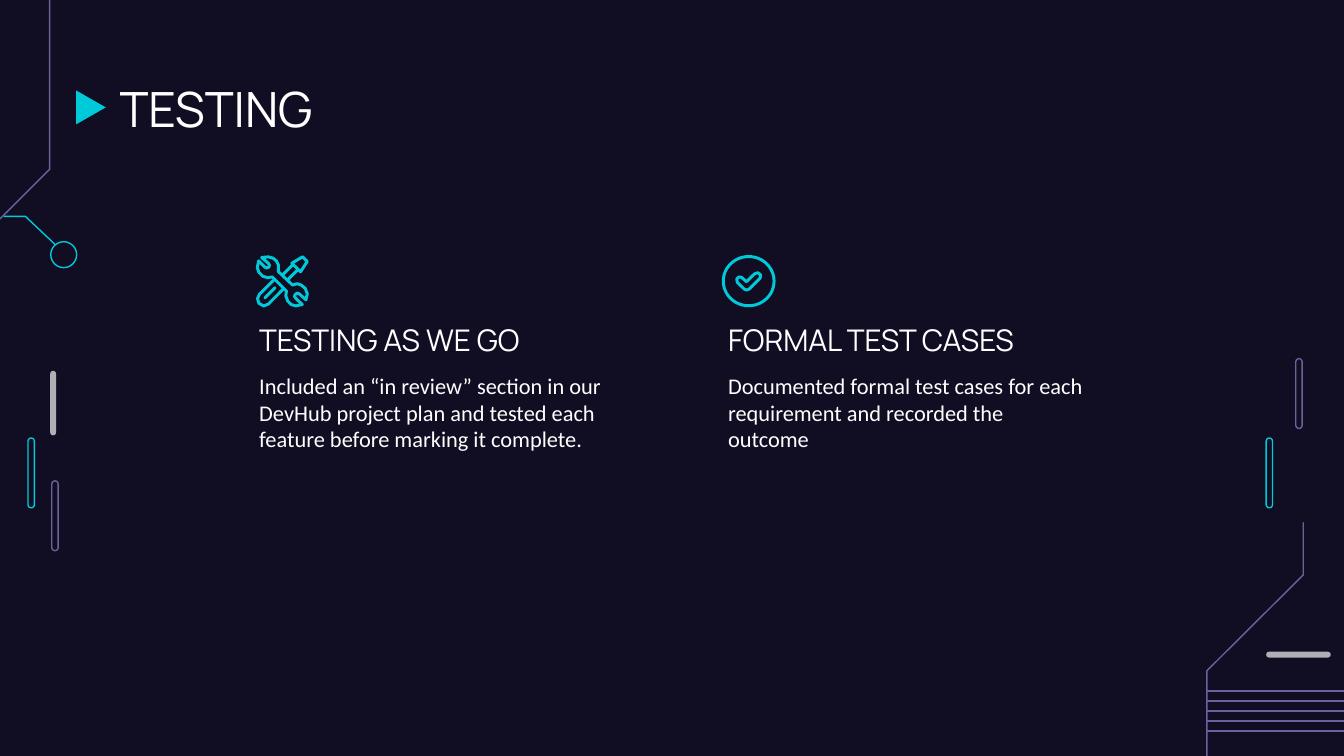
from lxml import etree
from pptx import Presentation, util as u
from pptx.dml.color import RGBColor
from pptx.enum import shapes, text
from pptx.oxml.ns import qn

NAVY = RGBColor(0x11, 0x0E, 0x24)
CYAN = RGBColor(0x00, 0xCA, 0xDA)
PURPLE = RGBColor(0x69, 0x63, 0x9C)
GREY = RGBColor(0xAF, 0xAF, 0xB6)
WHITE = RGBColor(0xFF, 0xFF, 0xFF)

WIDTH, HEIGHT = 25.4, 14.29
TITLE = "TESTING"
COLUMNS = [
    (4.65, "TESTING AS WE GO",
     "Included an “in review” section in our DevHub project plan and tested each "
     "feature before marking it complete."),
    (13.51, "FORMAL TEST CASES",
     "Documented formal test cases for each requirement and recorded the outcome"),
]
COLUMN_WIDTH = 7.26

OUTLINED_BARS = [(23.93, 8.28, CYAN), (24.49, 6.78, PURPLE),
                 (0.53, 8.28, CYAN), (0.98, 9.09, PURPLE)]
SOLID_BARS = [(0.95, 7.01, 0.11, 1.22), (23.93, 12.32, 1.22, 0.11)]
TRACES = [
    (PURPLE, [(0.94, 0), (0.94, 3.2), (0, 4.14)]),
    (CYAN, [(1.04, 4.62), (0.48, 4.09), (0.08, 4.09)]),
    (PURPLE, [(24.63, 9.88), (24.63, 10.87), (22.81, 12.68), (22.81, HEIGHT)]),
]
STRIPES, STRIPE_TOP, STRIPE_GAP, STRIPE_LEFT = 5, 13.06, 0.19, 22.81

ICON_UNIT = 0.0254
ICON_TOP = 4.83
TOOLS_LEFT, CHECK_LEFT = 4.83, 13.64
WRENCH = [(4.5, 1.5), (9.5, 1), (13, 2), (15.5, 4), (17, 7), (17, 12), (27.5, 22),
          (31, 21), (34, 22), (37, 24.5), (38.5, 28.5), (37.5, 33), (32.5, 28.5),
          (31, 28), (29.5, 29), (29, 30.5), (30, 32), (34.8, 36.5), (30, 37.5),
          (26.5, 36.5), (24, 34), (22.5, 30), (23, 26.5), (12.5, 16), (9, 16.5),
          (5.5, 15.5), (2.5, 12.5), (1.3, 9), (2.3, 4), (7, 8.7), (8.5, 9.3),
          (10, 8.5), (10.3, 7), (9.5, 5.8)]
HANDLE = [(13.3, 18.5), (3, 28.7), (1.5, 32), (2.5, 35.5), (6, 37.5), (9.5, 36.2),
          (20.3, 25.3)]
SLOT = [(14.5, 24), (7, 31.5)]
BLADE = [(35, 1), (38.5, 4.5), (33.5, 12.2), (27, 5.8)]
SHAFT = [[(20.5, 14), (27.7, 6.8)], [(24.5, 17.5), (31.5, 10.5)]]
CHECK = [(24.5, 13.7), (27, 12.8), (29, 14.5), (28.7, 16.8), (20.5, 25), (18.5, 25.7),
         (16.8, 25), (11.7, 20), (11.2, 17.5), (12.8, 16), (14.8, 16.3), (18.5, 19.5)]
TOOL_STROKES = [(WRENCH, True), (HANDLE, False), (SLOT, False), (BLADE, True),
                (SHAFT[0], False), (SHAFT[1], False)]

deck = Presentation()
deck.slide_width, deck.slide_height = u.Cm(WIDTH), u.Cm(HEIGHT)
page = deck.slides.add_slide(deck.slide_layouts[6])
page.background.fill.solid()
page.background.fill.fore_color.rgb = NAVY


def paint(shape, fill=None, line=None, weight=0.75):
    shape.shadow.inherit = False
    if fill is None:
        shape.fill.background()
    else:
        shape.fill.solid()
        shape.fill.fore_color.rgb = fill
    if line is None:
        shape.line.fill.background()
    else:
        shape.line.color.rgb = line
        shape.line.width = u.Pt(weight)


def add_preset(kind, left, top, width, height, **style):
    shape = page.shapes.add_shape(kind, *map(u.Cm, (left, top, width, height)))
    paint(shape, **style)
    return shape


def add_bar(left, top, width, height, **style):
    bar = add_preset(shapes.MSO_SHAPE.ROUNDED_RECTANGLE, left, top, width, height, **style)
    bar.adjustments[0] = 0.5


def add_path(points, color, closed=False, weight=0.75):
    spots = [(u.Cm(x), u.Cm(y)) for x, y in points]
    builder = page.shapes.build_freeform(*spots[0])
    builder.add_line_segments(spots[1:], close=closed)
    path = builder.convert_to_shape()
    paint(path, line=color, weight=weight)
    outline = path.line._get_or_add_ln()
    outline.set("cap", "rnd")
    etree.SubElement(outline, qn("a:round"))


def add_stroke(left, points, closed):
    add_path([(left + x * ICON_UNIT, ICON_TOP + y * ICON_UNIT) for x, y in points],
             CYAN, closed, 1.6)


def add_text(words, left, top, width, height, size, font, anchor=text.MSO_ANCHOR.TOP):
    box = page.shapes.add_textbox(*map(u.Cm, (left, top, width, height)))
    frame = box.text_frame
    frame.word_wrap = True
    frame.vertical_anchor = anchor
    frame.margin_left = frame.margin_right = u.Cm(0.25)
    frame.margin_top = frame.margin_bottom = u.Cm(0.25)
    para = frame.paragraphs[0]
    para.text = words
    para.font.size, para.font.name = u.Pt(size), font
    para.font.color.rgb = WHITE


for left, top, color in OUTLINED_BARS:
    add_bar(left, top, 0.12, 1.32, line=color)
for bar in SOLID_BARS:
    add_bar(*bar, fill=GREY)
for color, points in TRACES:
    add_path(points, color)
add_preset(shapes.MSO_SHAPE.OVAL, 0.96, 4.57, 0.49, 0.49, line=CYAN)

for row in range(STRIPES):
    y = u.Cm(STRIPE_TOP + row * STRIPE_GAP)
    stripe = page.shapes.add_connector(
        shapes.MSO_CONNECTOR.STRAIGHT, u.Cm(STRIPE_LEFT), y, u.Cm(WIDTH), y)
    stripe.line.color.rgb = PURPLE
    stripe.line.width = u.Pt(0.75)
    etree.SubElement(stripe._element.spPr, qn("a:effectLst"))

marker = add_preset(shapes.MSO_SHAPE.FLOWCHART_MERGE, 1.4, 1.75, 0.64, 0.56, fill=CYAN)
marker.rotation = 270

add_text(TITLE, 2.01, 1.24, 21.41, 1.6, 26, "Manrope")
for left, heading, body in COLUMNS:
    add_text(heading, left, 5.66, COLUMN_WIDTH, 1.35, 16, "Manrope", text.MSO_ANCHOR.BOTTOM)
    add_text(body, left, 6.78, COLUMN_WIDTH, 4.09, 12, "Calibri")

for points, closed in TOOL_STROKES:
    add_stroke(TOOLS_LEFT, points, closed)
add_preset(shapes.MSO_SHAPE.OVAL, CHECK_LEFT + 0.03, ICON_TOP + 0.02, 0.96, 0.93,
           line=CYAN, weight=1.6)
add_stroke(CHECK_LEFT, CHECK, True)

deck.save("out.pptx")
